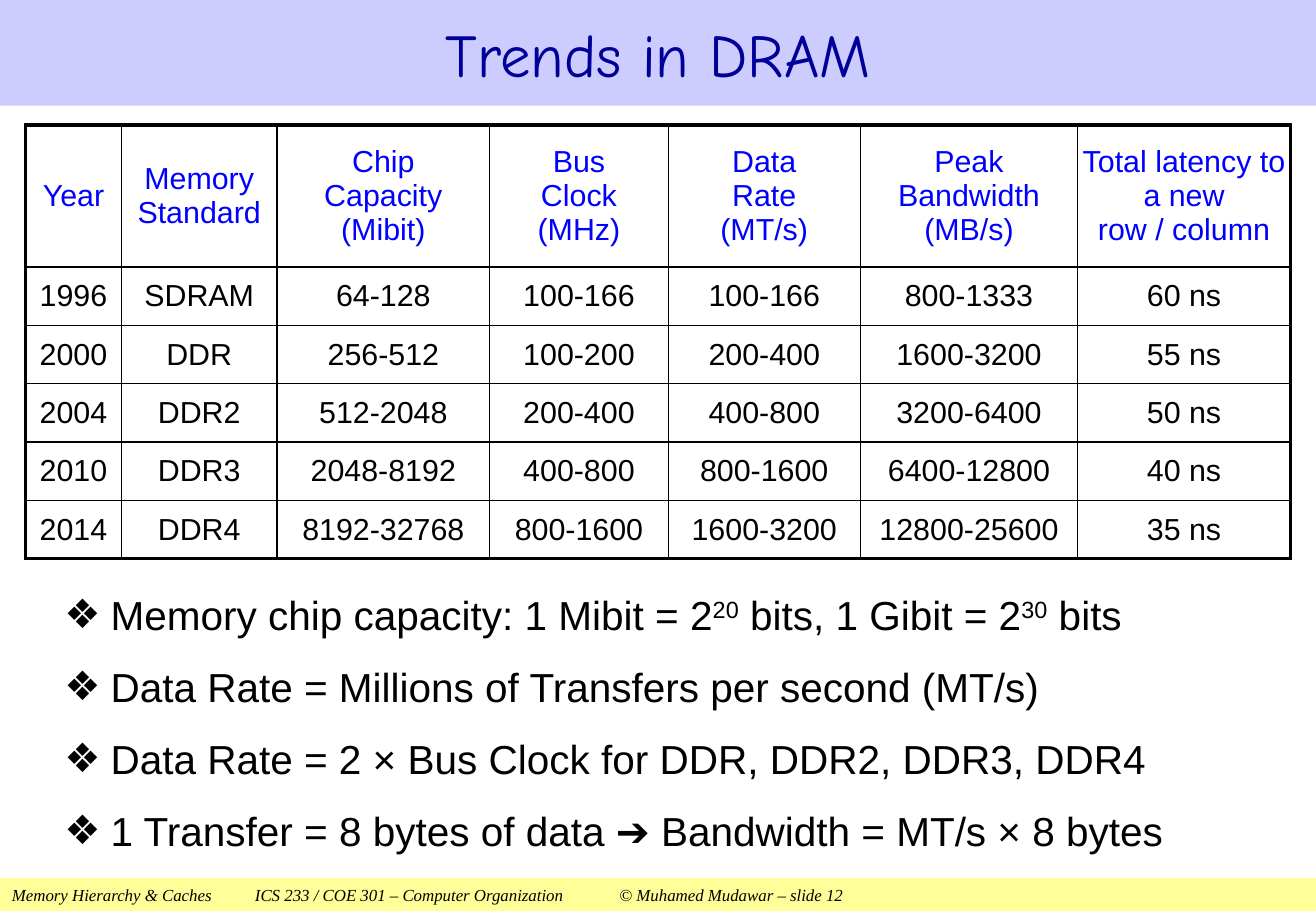
import lxml.etree
import pptx
import pptx.dml.color
import pptx.enum.shapes
import pptx.enum.text
import pptx.oxml.ns
import pptx.util
from pptx.util import Inches

ALIGN = pptx.enum.text.PP_ALIGN
MIDDLE = pptx.enum.text.MSO_ANCHOR.MIDDLE

COLUMN_WIDTHS = [0.79, 1.28, 1.75, 1.47, 1.58, 1.79, 1.75]
ROW_HEIGHTS = [1.17] + [0.48] * 5
DRAM_ROWS = [
    ["Year", "Memory\nStandard", "Chip\nCapacity\n(Mibit)", "Bus\nClock\n(MHz)",
     "Data\nRate\n(MT/s)", "Peak\nBandwidth\n(MB/s)",
     "Total latency to a new\nrow / column"],
    ["1996", "SDRAM", "64-128", "100-166", "100-166", "800-1333", "60 ns"],
    ["2000", "DDR", "256-512", "100-200", "200-400", "1600-3200", "55 ns"],
    ["2004", "DDR2", "512-2048", "200-400", "400-800", "3200-6400", "50 ns"],
    ["2010", "DDR3", "2048-8192", "400-800", "800-1600", "6400-12800", "40 ns"],
    ["2014", "DDR4", "8192-32768", "800-1600", "1600-3200", "12800-25600", "35 ns"],
]
# Carets enclose superscripts
NOTES = [
    "Memory chip capacity: 1 Mibit = 2^20^ bits, 1 Gibit = 2^30^ bits",
    "Data Rate = Millions of Transfers per second (MT/s)",
    "Data Rate = 2 × Bus Clock for DDR, DDR2, DDR3, DDR4",
    "1 Transfer = 8 bytes of data ➔ Bandwidth = MT/s × 8 bytes",
]
FOOTER = ("Memory Hierarchy & Caches\tICS 233 / COE 301 – Computer Organization"
          "\t© Muhamed Mudawar – slide 12")


def rgb(value):
    return pptx.dml.color.RGBColor.from_string(value)


def add_element(parent, tag, **attributes):
    element = lxml.etree.SubElement(parent, pptx.oxml.ns.qn(tag))
    for name, value in attributes.items():
        element.set(name, str(value))
    return element


class LectureSlide:
    width, height = 10.83, 7.5
    black, white = "000000", "FFFFFF"
    body_font = "Arial"

    def __init__(self, presentation):
        presentation.slide_width = Inches(self.width)
        presentation.slide_height = Inches(self.height)
        self.slide = presentation.slides.add_slide(presentation.slide_layouts[1])

    def place(self, shape, left, top, width, height):
        shape.left, shape.top = Inches(left), Inches(top)
        shape.width, shape.height = Inches(width), Inches(height)

    def fill(self, target, color):
        target.fill.solid()
        target.fill.fore_color.rgb = rgb(color)

    def format_text(self, text_frame, size, font, color, align=ALIGN.LEFT, italic=False):
        for paragraph in text_frame.paragraphs:
            paragraph.alignment = align
            for run in paragraph.runs:
                run.font.size = pptx.util.Pt(size)
                run.font.name = font
                run.font.italic = italic
                run.font.color.rgb = rgb(color)

    def title(self, text):
        shape = self.slide.shapes.title
        self.place(shape, 0, 0, self.width, 0.87)
        self.fill(shape, "CCCCFF")
        text_frame = shape.text_frame
        text_frame.text = text
        text_frame.auto_size = pptx.enum.text.MSO_AUTO_SIZE.NONE
        text_frame.vertical_anchor = MIDDLE
        self.format_text(text_frame, 36, "Comic Neue", "000099", ALIGN.CENTER)

    def table(self, left, top, rows):
        frame = self.slide.shapes.add_table(
            len(rows), len(rows[0]), Inches(left), Inches(top),
            Inches(sum(COLUMN_WIDTHS)), Inches(sum(ROW_HEIGHTS)))
        table = frame.table
        table.first_row = table.horz_banding = False
        for column, width in zip(table.columns, COLUMN_WIDTHS):
            column.width = Inches(width)
        for row, height in zip(table.rows, ROW_HEIGHTS):
            row.height = Inches(height)
        last_row, last_column = len(rows) - 1, len(rows[0]) - 1
        for i, row in enumerate(rows):
            for j, text in enumerate(row):
                cell = table.cell(i, j)
                cell.text = text
                cell.vertical_anchor = MIDDLE
                cell.margin_left = cell.margin_right = 0
                cell.margin_top = cell.margin_bottom = 0
                self.fill(cell, self.white)
                self.format_text(cell.text_frame, 18, self.body_font,
                                 "0000FF" if i == 0 else self.black, ALIGN.CENTER)
                self.borders(cell, j == 0, j == last_column, i == 0, i == last_row)

    def borders(self, cell, *outer_sides):
        properties = cell._tc.get_or_add_tcPr()
        for index, (side, outer) in enumerate(zip("LRTB", outer_sides)):
            line = add_element(properties, "a:ln" + side,
                               w=pptx.util.Pt(2.25 if outer else 1))
            add_element(add_element(line, "a:solidFill"), "a:srgbClr", val=self.black)
            properties.insert(index, line)

    def bullets(self, left, top, width, height, items):
        shape = self.slide.placeholders[1]
        self.place(shape, left, top, width, height)
        text_frame = shape.text_frame
        text_frame.auto_size = pptx.enum.text.MSO_AUTO_SIZE.NONE
        for index, item in enumerate(items):
            paragraph = text_frame.paragraphs[0] if index == 0 else text_frame.add_paragraph()
            paragraph.line_spacing = 1.1
            paragraph.space_before = pptx.util.Pt(11)
            properties = paragraph._p.get_or_add_pPr()
            properties.set("marL", str(Inches(0.38)))
            properties.set("indent", str(Inches(-0.38)))
            add_element(properties, "a:buChar", char="❖")
            for part, text in enumerate(item.split("^")):
                run = paragraph.add_run()
                run.text = text
                if part % 2:
                    run._r.get_or_add_rPr().set("baseline", "30000")
        self.format_text(text_frame, 24, self.body_font, self.black)

    def footer(self, text):
        height = 0.27
        shape = self.slide.shapes.add_shape(
            pptx.enum.shapes.MSO_SHAPE.RECTANGLE, 0, Inches(self.height - height),
            Inches(self.width), Inches(height))
        shape.shadow.inherit = False
        self.fill(shape, "FFFF99")
        shape.line.fill.background()
        text_frame = shape.text_frame
        text_frame.text = text
        text_frame.vertical_anchor = MIDDLE
        self.format_text(text_frame, 10, "Times New Roman", self.black, italic=True)
        # Tab stops every inch
        text_frame.paragraphs[0]._p.get_or_add_pPr().set("defTabSz", str(Inches(1)))


def main():
    presentation = pptx.Presentation()
    lecture = LectureSlide(presentation)
    # Heading
    lecture.title("Trends in DRAM")
    # DRAM generations
    lecture.table(0.21, 1.03, DRAM_ROWS)
    # Explanations of the units
    lecture.bullets(0.43, 4.77, 10.15, 2.32, NOTES)
    # Course line
    lecture.footer(FOOTER)
    presentation.save("out.pptx")


if __name__ == "__main__":
    main()
